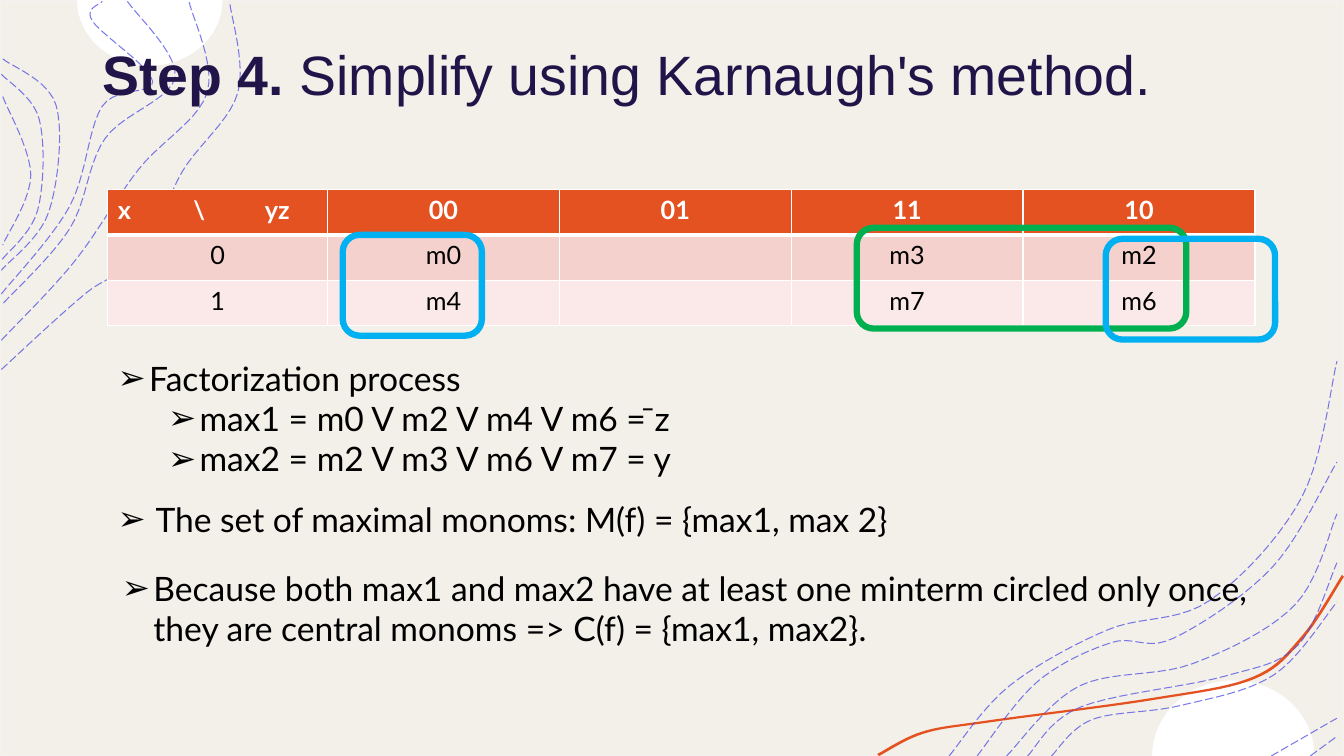
import math
import pptx
import pptx.util
import pptx.dml.color
import pptx.enum.dml
import pptx.enum.shapes
import pptx.enum.text
import pptx.oxml
import pptx.oxml.ns
import lxml.etree

Pt = pptx.util.Pt
ALIGN = pptx.enum.text.PP_ALIGN
SHAPE = pptx.enum.shapes.MSO_SHAPE
WHITE, BLACK, ORANGE, CREAM = "FFFFFF", "000000", "E45221", "F3F0E9"
GREEN, BLUE, VIOLET, NAVY = "00B050", "00B0F0", "4D4EE6", "201449"

# Points that the curves pass through
RIBBON = [(960, 412), (931, 456), (896, 485), (824, 500), (707, 516),
          (660, 524), (628, 540)]
STRANDS = [
    # Top left
    [(1, 264), (62, 209), (102, 183), (130, 123), (170, 66), (164, 1)],
    [(1, 243), (53, 187), (99, 121), (148, 66), (135, 1)],
    [(91, 1), (125, 55), (75, 99), (50, 163), (2, 217)],
    [(1, 210), (50, 147), (73, 76), (109, 58), (66, 15), (73, 1)],
    [(2, 42), (40, 75), (35, 151), (1, 193)],
    [(1, 53), (28, 85), (27, 150), (1, 186)],
    [(2, 69), (22, 125), (2, 175)],
    # Bottom right
    [(678, 540), (721, 490), (791, 450), (864, 429), (930, 355), (955, 258)],
    [(698, 540), (741, 487), (794, 459), (838, 456), (909, 405), (955, 330)],
    [(719, 540), (771, 490), (852, 474), (925, 432), (955, 367)],
    [(734, 540), (772, 505), (875, 483), (927, 461), (955, 402)],
    [(751, 540), (780, 514), (843, 504), (910, 482), (955, 430)],
    [(908, 540), (955, 513)],
    [(936, 540), (955, 526)],
]
GRID = [["x\t\\\tyz", "00", "01", "11", "10"],
        ["0", "m0", "", "m3", "m2"],
        ["1", "m4", "", "m7", "m6"]]
RINGS = [(612, 162.7, 235.4, GREEN), (789.8, 170.6, 121, BLUE),
         (244.8, 167.8, 99.4, BLUE)]
NOTES = [
    (77, 252, 570, 124, [
        ("Factorization process", 0, 22.5),
        ("max1 = m0 V m2 V m4 V m6 = ̄z", 1, 58.5),
        ("max2 = m2 V m3 V m6 V m7 = y", 1, 58.5)]),
    (77, 352.8, 743, 36, [
        ("The set of maximal monoms: M(f) = {max1, max 2}", 0, 27)]),
    (80, 401.8, 824.4, 65.5, [
        ("Because both max1 and max2 have at least one minterm circled only "
         "once, they are central monoms => C(f) = {max1, max2}.", 0, 22.5)]),
]


def color(code):
    return pptx.dml.color.RGBColor.from_string(code)


def add(node, tag, **attrs):
    return lxml.etree.SubElement(node, pptx.oxml.ns.qn(tag), attrs)


def paint(shape, fill=None, line=None, width=1):
    shape.shadow.inherit = False
    for part, code in ((shape.fill, fill), (shape.line.fill, line)):
        if code:
            part.solid()
            part.fore_color.rgb = color(code)
        else:
            part.background()
    if line:
        shape.line.width = Pt(width)


def smooth(knots, steps=10):
    """Catmull-Rom curve through the knots."""
    ends = [knots[0]] + knots + [knots[-1]]
    curve = [knots[0]]
    for a, b, c, d in zip(ends, ends[1:], ends[2:], ends[3:]):
        for step in range(1, steps + 1):
            t = step / steps
            curve.append(tuple(
                (2 * q + (r - p) * t + (2 * p - 5 * q + 4 * r - s) * t ** 2
                 + (3 * q - p - 3 * r + s) * t ** 3) / 2
                for p, q, r, s in zip(a, b, c, d)))
    return curve


def outline(slide, points, close):
    path = [(Pt(x), Pt(y)) for x, y in points]
    pen = slide.shapes.build_freeform(*path[0])
    pen.add_line_segments(path[1:], close=close)
    return pen.convert_to_shape()


def disc(slide, mid, base, wide, high):
    turns = [math.pi * i / 30 for i in range(31)]
    arc = [(mid + wide * math.cos(t), base + high * math.sin(t))
           for t in turns]
    paint(outline(slide, arc, True), WHITE)


def ribbon(slide):
    edge = smooth(RIBBON)
    inner = [(x - 1.4, y - 1.4) for x, y in reversed(edge)]
    paint(outline(slide, edge + inner, True), ORANGE)


def strand(slide, knots):
    shape = outline(slide, smooth(knots), False)
    paint(shape, line=VIOLET, width=0.75)
    shape.line.dash_style = pptx.enum.dml.MSO_LINE.LONG_DASH
    tint = shape.line._ln.find(".//" + pptx.oxml.ns.qn("a:srgbClr"))
    add(tint, "a:alpha", val="75000")


def style(par, size, face, code, bold=None):
    font = par.font
    font.size, font.name, font.bold = Pt(size), face, bold
    font.color.rgb = color(code)


def box(slide, left, top, width, height):
    frame = slide.shapes.add_textbox(
        Pt(left), Pt(top), Pt(width), Pt(height)).text_frame
    frame.word_wrap = True
    return frame


def title(slide):
    frame = box(slide, 66.2, 0, 828, 104.4)
    frame.vertical_anchor = pptx.enum.text.MSO_ANCHOR.MIDDLE
    par = frame.paragraphs[0]
    for text, bold in (("Step 4. ", True),
                       ("Simplify using Karnaugh's method.", False)):
        run = par.add_run()
        run.text, run.font.bold = text, bold
    style(par, 39.6, "Arial", NAVY)


def note(slide, left, top, width, height, items):
    frame = box(slide, left, top, width, height)
    hang = items[0][2]
    for i, (text, level, margin) in enumerate(items):
        par = frame.add_paragraph() if i else frame.paragraphs[0]
        par.text, par.level = text, level
        props = par._p.get_or_add_pPr()
        props.set("marL", str(Pt(margin)))
        props.set("indent", str(-Pt(hang)))
        add(props, "a:buFont", typeface="Arial")
        add(props, "a:buChar", char="➢")
        style(par, 24, "Lato", BLACK)


def border(cell, row):
    props = cell._tc.get_or_add_tcPr()
    thick = {0: "a:lnB", 1: "a:lnT"}.get(row)
    for tag in ("a:lnL", "a:lnR", "a:lnT", "a:lnB"):
        line = add(props, tag, w=str(Pt(3 if tag == thick else 1)))
        add(add(line, "a:solidFill"), "a:srgbClr", val=WHITE)


def grid(slide):
    widths = [157] + [165.6] * 4
    table = slide.shapes.add_table(
        len(GRID), len(widths), Pt(77), Pt(135.4), Pt(sum(widths)),
        Pt(32.4 * len(GRID))).table
    for col, width in zip(table.columns, widths):
        col.width = Pt(width)
    for r, (texts, fill) in enumerate(zip(GRID, (ORANGE, "F5D1CD", "FAE9E8"))):
        table.rows[r].height = Pt(32.4)
        for c, text in enumerate(texts):
            cell = table.cell(r, c)
            border(cell, r)
            cell.fill.solid()
            cell.fill.fore_color.rgb = color(fill)
            par = cell.text_frame.paragraphs[0]
            par.text = text
            if r or c:
                par.alignment = ALIGN.CENTER
            else:
                tabs = add(par._p.get_or_add_pPr(), "a:tabLst")
                for stop in (54, 105):
                    add(tabs, "a:tab", pos=str(Pt(stop)), algn="l")
            style(par, 18, "Lato", BLACK if r else WHITE, r == 0)


def main():
    deck = pptx.Presentation()
    deck.slide_width, deck.slide_height = Pt(960), Pt(540)
    slide = deck.slides.add_slide(deck.slide_layouts[6])
    # Backdrop
    back = slide.shapes.add_shape(SHAPE.RECTANGLE, 0, 0, Pt(960), Pt(540))
    paint(back, CREAM, "F2F2F2")
    disc(slide, 107, 0, 52, 47)
    disc(slide, 881, 540, 58, -54)
    ribbon(slide)
    for knots in STRANDS:
        strand(slide, knots)
    # Karnaugh map with its groups
    title(slide)
    grid(slide)
    for left, top, width, code in RINGS:
        ring = slide.shapes.add_shape(
            SHAPE.ROUNDED_RECTANGLE, Pt(left), Pt(top), Pt(width), Pt(72))
        paint(ring, line=code, width=4.5)
    # Conclusions
    for item in NOTES:
        note(slide, *item)
    deck.save("out.pptx")


if __name__ == "__main__":
    main()
